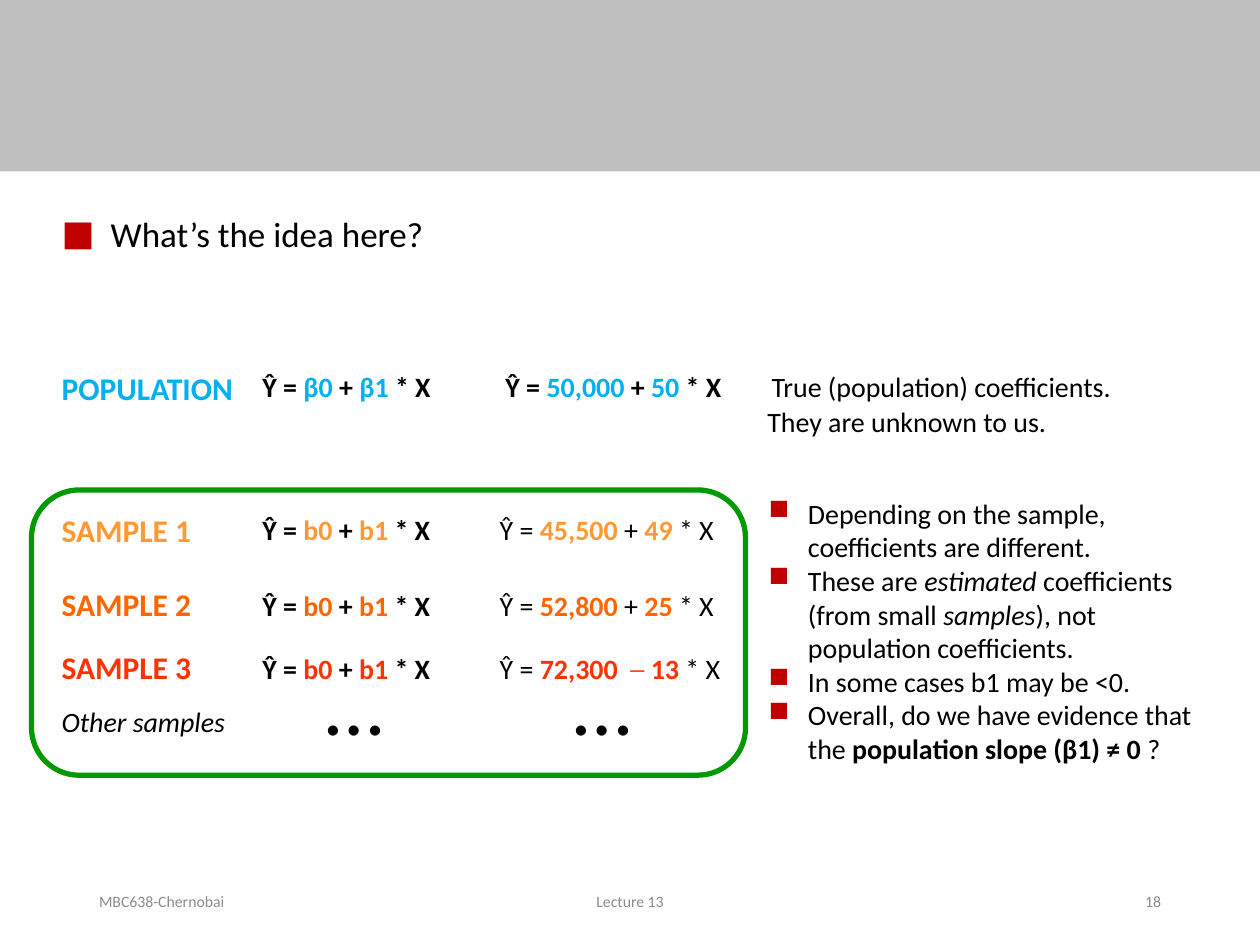
import pptx
import pptx.util
import pptx.dml.color
import pptx.enum.shapes
import pptx.enum.text
from lxml import etree

Pt = pptx.util.Pt
RGB = pptx.dml.color.RGBColor.from_string
ALIGN = pptx.enum.text.PP_ALIGN
ANCHOR = pptx.enum.text.MSO_ANCHOR
SHAPE = pptx.enum.shapes.MSO_SHAPE
A = "{http://schemas.openxmlformats.org/drawingml/2006/main}"
C = {"band": "BFBFBF", "bullet": "C00000", "text": "000000", "pop": "00B0F0",
     "s1": "FF9933", "s2": "FF6600", "s3": "FF3300", "frame": "009900", "footer": "8C8C8C"}


def style(p, size, color="text", bullet=None, indent=0, before=0):
    """Format a paragraph; bullet is a (font, character) pair."""
    p.font.name, p.font.size = "Calibri", Pt(size)
    p.font.color.rgb = RGB(C[color])
    p.alignment = ALIGN.LEFT
    p.space_before = Pt(before)
    pPr = p._p.get_or_add_pPr()
    pPr.set("marL", str(Pt(indent)))
    pPr.set("indent", str(-Pt(indent)))
    parts = [etree.Element(A + "buNone")]
    if bullet:
        clr = etree.Element(A + "buClr")
        etree.SubElement(clr, A + "srgbClr", val=C["bullet"])
        parts = [clr, etree.Element(A + "buFont", typeface=bullet[0]),
                 etree.Element(A + "buChar", char=bullet[1])]
    at = [el.tag for el in pPr].index(A + "defRPr")
    for i, el in enumerate(parts):
        pPr.insert(at + i, el)


def add_cell(left, baseline, width, runs, size=16):
    """Put one line of (text, colour key, bold) runs on a baseline."""
    top = baseline - 0.95 * size - 3.6
    tf = s.shapes.add_textbox(Pt(left - 7.2), Pt(top), Pt(width),
                              Pt(1.22 * size + 7.2)).text_frame
    tf.word_wrap = True
    p = tf.paragraphs[0]
    style(p, size)
    for text, color, bold in runs:
        r = p.add_run()
        r.text = text
        r.font.bold = bold
        r.font.color.rgb = RGB(C[color])


prs = pptx.Presentation()
prs.slide_width, prs.slide_height = Pt(720), Pt(540)
s = prs.slides.add_slide(prs.slide_layouts[3])
title, labels, notes = s.placeholders

band = s.shapes.add_shape(SHAPE.RECTANGLE, 0, 0, Pt(720), Pt(98))
band.shadow.inherit = False
band.fill.solid()
band.fill.fore_color.rgb = RGB(C["band"])
band.line.fill.background()

for sp, box in ((title, (28, 118, 680, 32)),
                (labels, (28, 207, 120, 225)),
                (notes, (432, 280, 270, 163))):
    sp.left, sp.top, sp.width, sp.height = map(Pt, box)
    tf = sp.text_frame
    tf.word_wrap = True
    tf.auto_size = pptx.enum.text.MSO_AUTO_SIZE.NONE
    tf.vertical_anchor = ANCHOR.TOP

p = title.text_frame.paragraphs[0]
p.text = "What’s the idea here?"
style(p, 20, bullet=("Calibri", "■"), indent=28)

# Row labels, with the gap above each
rows = [("POPULATION", 18, "pop", 0), ("SAMPLE 1", 18, "s1", 59.7),
        ("SAMPLE 2", 18, "s2", 21), ("SAMPLE 3", 18, "s3", 14),
        ("Other samples", 16, "text", 10.6)]
tf = labels.text_frame
for i, (text, size, color, gap) in enumerate(rows):
    p = tf.add_paragraph() if i else tf.paragraphs[0]
    p.text = text
    style(p, size, color, before=gap)
    p.font.bold = size == 18
    p.font.italic = size == 16

# Equations: baseline, colour, coefficient names, left, values, sign, sign colour
equations = [
    (226.7, "pop", "β", 289, "50,000", " + ", "50", "text"),
    (308.4, "s1", "b", 285.7, "45,500", " + ", "49", "text"),
    (351.3, "s2", "b", 285.7, "52,800", " + ", "25", "text"),
    (387.3, "s3", "b", 285.7, "72,300  ", "─ ", "13", "s3"),
]
for baseline, color, name, left, intercept, sign, slope, sign_color in equations:
    add_cell(150, baseline, 120,
             [("Ŷ = ", "text", True), (name + "0 ", color, True), ("+ ", "text", True),
              (name + "1 ", color, True), ("* X", "text", True)])
    strong = color == "pop"
    add_cell(left, baseline, 150,
             [("Ŷ = ", "text", strong), (intercept, color, True),
              (sign, sign_color, strong), (slope, color, True), (" * X", "text", strong)])

truth = ["True (population) coefficients.", "They are unknown to us."]
for i, text in enumerate(truth):
    add_cell(441 - 2.4 * i, 226.7 + 19.5 * i, 250, [(text, "text", False)])
for left in (186.3, 328):
    add_cell(left, 418, 60, [("…", "text", False)], size=48)

frame = s.shapes.add_shape(SHAPE.ROUNDED_RECTANGLE, Pt(18), Pt(280), Pt(408), Pt(163))
frame.shadow.inherit = False
frame.fill.background()
frame.line.color.rgb = RGB(C["frame"])
frame.line.width = Pt(3)

# Each remark is a list of (text, emphasis) pieces
remarks = [
    [("Depending on the sample, coefficients are different.", "")],
    [("These are ", ""), ("estimated", "i"), (" coefficients (from small ", ""),
     ("samples", "i"), ("), not population coefficients.", "")],
    [("In some cases b1 may be <0.", "")],
    [("Overall, do we have evidence that the ", ""),
     ("population slope (β1) ≠ 0 ", "b"), ("?", "")],
]
tf = notes.text_frame
for i, pieces in enumerate(remarks):
    p = tf.add_paragraph() if i else tf.paragraphs[0]
    style(p, 16, bullet=("Wingdings", "n"), indent=22.5)
    for text, emphasis in pieces:
        r = p.add_run()
        r.text = text
        r.font.italic = emphasis == "i"
        r.font.bold = emphasis == "b"

footers = [("MBC638-Chernobai", 49.5, 162, ALIGN.LEFT),
           ("Lecture 13", 238.5, 243, ALIGN.CENTER),
           ("18", 508.5, 162, ALIGN.RIGHT)]
for text, left, width, align in footers:
    tf = s.shapes.add_textbox(Pt(left), Pt(500.5), Pt(width), Pt(28.5)).text_frame
    tf.word_wrap = True
    tf.vertical_anchor = ANCHOR.MIDDLE
    p = tf.paragraphs[0]
    p.text = text
    style(p, 9, "footer")
    p.alignment = align

prs.save("out.pptx")
